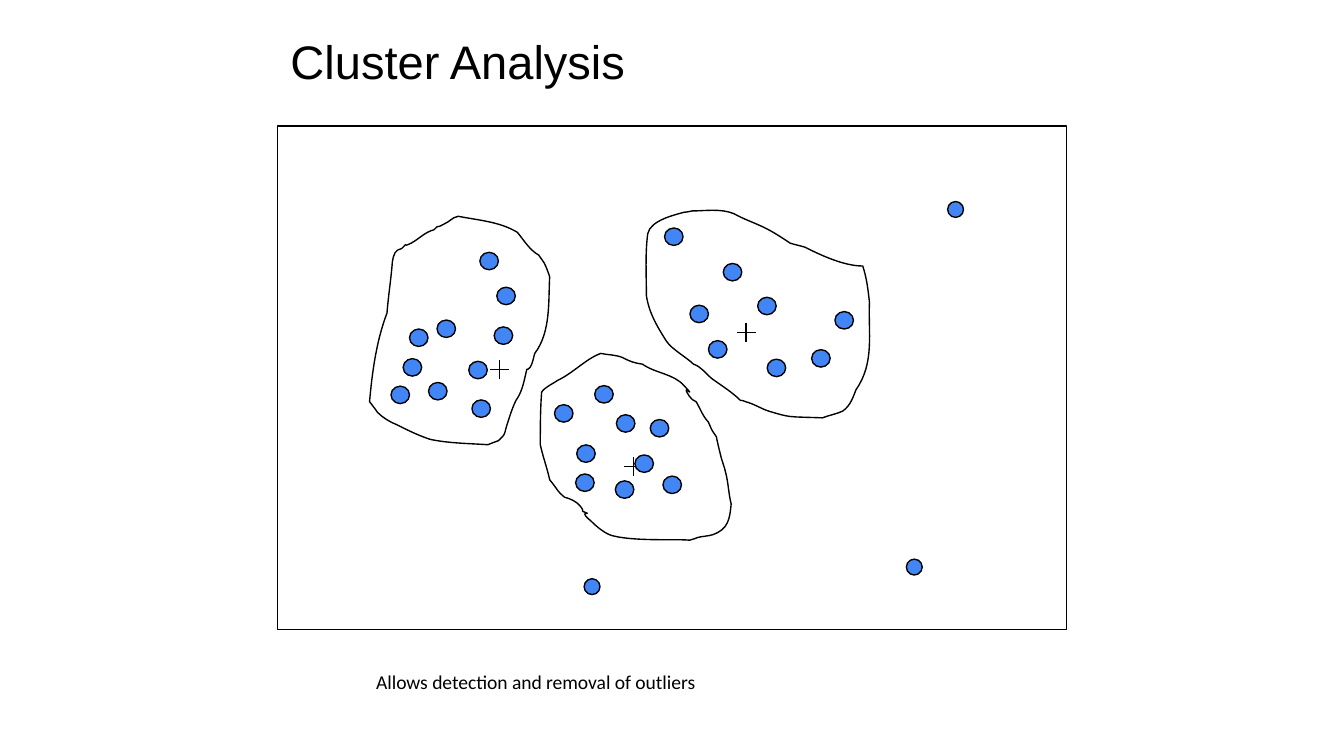
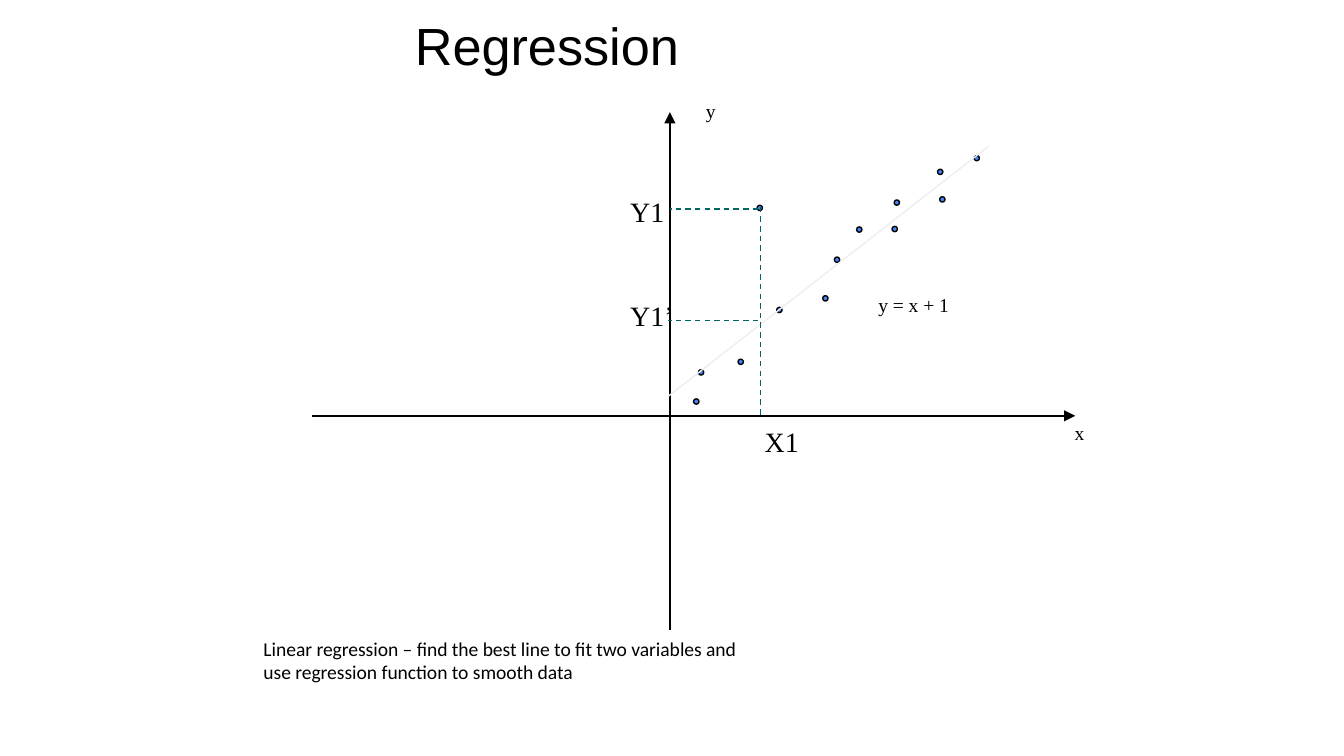
from lxml import etree
from pptx import Presentation
from pptx.dml.color import RGBColor
from pptx.enum.dml import MSO_LINE
from pptx.enum.shapes import MSO_CONNECTOR, MSO_SHAPE
from pptx.enum.text import MSO_ANCHOR, MSO_AUTO_SIZE as AutoSize, PP_ALIGN
from pptx.oxml.ns import qn
from pptx.util import Cm, Pt

BLACK = RGBColor(0x00, 0x00, 0x00)
BLUE = RGBColor(0x42, 0x85, 0xF4)
TEAL = RGBColor(0x00, 0x66, 0x66)
PALE_GREY = RGBColor(0xEE, 0xEE, 0xEE)
LINE_WIDTH = Pt(0.75)


def add_line(slide, start, end, color=BLACK, dashed=False, arrow=False):
    line = slide.shapes.add_connector(
        MSO_CONNECTOR.STRAIGHT, *[Cm(value) for value in (*start, *end)])
    line.line.color.rgb = color
    line.line.width = LINE_WIDTH
    if dashed:
        line.line.dash_style = MSO_LINE.DASH
    properties = line._element.spPr
    if arrow:
        etree.SubElement(properties.find(qn("a:ln")), qn("a:tailEnd"), type="triangle")
    etree.SubElement(properties, qn("a:effectLst"))


def add_dots(slide, kind, width, height, positions):
    for left, top in positions:
        dot = slide.shapes.add_shape(kind, Cm(left), Cm(top), Cm(width), Cm(height))
        dot.shadow.inherit = False
        dot.fill.solid()
        dot.fill.fore_color.rgb = BLUE
        dot.line.color.rgb = BLACK
        dot.line.width = LINE_WIDTH


presentation = Presentation()
presentation.slide_width = Cm(25.4)
presentation.slide_height = Cm(14.29)

# Slides and their titles
slides = []
for title_text, size, box in [
    ("Cluster Analysis", 25.2, (5.24, 0.36, 15.39, 1.52)),
    ("Regression", 28, (7.59, 0, 9.98, 2.31)),
]:
    slide = presentation.slides.add_slide(presentation.slide_layouts[5])
    title = slide.shapes.title
    title.left, title.top, title.width, title.height = [Cm(value) for value in box]
    frame = title.text_frame
    frame.text = title_text
    frame.auto_size = AutoSize.NONE
    frame.vertical_anchor = MSO_ANCHOR.TOP
    frame.margin_left = frame.margin_right = Cm(0.25)
    frame.margin_top = frame.margin_bottom = Cm(0.25)
    paragraph = frame.paragraphs[0]
    paragraph.alignment = PP_ALIGN.LEFT
    paragraph.font.name = "Arial"
    paragraph.font.size = Pt(size)
    paragraph.font.color.rgb = BLACK
    slides.append(slide)
cluster_slide, regression_slide = slides

# Cluster analysis: outliers
add_dots(cluster_slide, MSO_SHAPE.FLOWCHART_CONNECTOR, 0.3, 0.3,
         [(17.13, 10.57), (11.04, 10.94), (17.91, 3.81)])

# Cluster analysis: a cross at each cluster centre
ARM = 0.18
for x, y in [(11.97, 8.82), (14.1, 6.29), (9.44, 6.99)]:
    add_line(cluster_slide, (x - ARM, y), (x + ARM, y))
    add_line(cluster_slide, (x, y + ARM), (x, y - ARM))

# Cluster analysis: frame
frame_box = cluster_slide.shapes.add_shape(
    MSO_SHAPE.RECTANGLE, Cm(5.24), Cm(2.38), Cm(14.92), Cm(9.52))
frame_box.shadow.inherit = False
frame_box.fill.background()
frame_box.line.color.rgb = BLACK
frame_box.line.width = LINE_WIDTH

# Cluster analysis: members of the left, right and middle clusters
members = [
    (8.1, 7.23), (7.62, 6.78), (8.86, 6.83), (8.26, 6.05), (7.39, 7.3),
    (7.74, 6.22), (8.92, 7.56), (9.34, 6.18), (9.39, 5.43), (9.07, 4.77),

    (13.67, 4.98), (13.39, 6.44), (14.32, 5.62), (13.04, 5.77),
    (15.78, 5.89), (15.34, 6.61), (14.5, 6.79), (12.56, 4.31),

    (10.48, 7.65), (12.29, 7.93), (11.63, 9.09), (12, 8.6), (10.9, 8.41),
    (10.88, 8.96), (11.24, 7.29), (11.65, 7.84), (12.53, 9),
]
add_dots(cluster_slide, MSO_SHAPE.FLOWCHART_CONNECTOR, 0.35, 0.33, members)

# Cluster analysis: outlines as Bezier curves, in hundredths of an inch.
# Each has a start point, then two handles and an end point per curve.
right_outline = (642, 198), [
    (645, 207, 646, 216, 647, 225), (646, 248, 651, 270, 637, 290),
    (635, 295, 633, 302, 627, 306), (623, 308, 617, 309, 612, 311),
    (585, 310, 589, 311, 572, 306), (566, 304, 562, 301, 555, 299),
    (554, 298, 551, 298, 551, 298), (545, 292, 537, 287, 530, 282),
    (525, 278, 522, 273, 516, 271), (511, 266, 500, 260, 496, 254),
    (489, 243, 483, 233, 481, 220), (481, 205, 480, 189, 482, 174),
    (484, 164, 502, 160, 509, 158), (511, 158, 515, 157, 515, 157),
    (525, 157, 536, 155, 546, 159), (553, 163, 562, 166, 570, 170),
    (576, 173, 582, 177, 588, 181), (591, 182, 596, 183, 599, 184),
    (611, 190, 628, 198, 642, 198),
]
middle_outline = (437, 382), [
    (430, 379, 436, 382, 432, 377), (429, 373, 424, 371, 420, 370),
    (418, 368, 416, 367, 415, 365), (413, 362, 409, 357, 409, 357),
    (407, 348, 404, 340, 402, 331), (402, 318, 402, 305, 403, 292),
    (404, 289, 414, 284, 415, 283), (426, 278, 436, 267, 447, 263),
    (451, 264, 458, 264, 463, 266), (469, 269, 471, 270, 478, 271),
    (488, 278, 501, 278, 509, 287), (520, 299, 505, 283, 513, 295),
    (514, 297, 516, 298, 518, 299), (521, 304, 523, 310, 527, 314),
    (531, 323, 529, 319, 533, 325), (534, 330, 535, 334, 536, 338),
    (537, 343, 539, 347, 540, 352), (542, 360, 542, 367, 544, 375),
    (543, 386, 542, 394, 530, 398), (527, 399, 523, 399, 519, 400),
    (517, 401, 513, 402, 513, 402), (506, 401, 474, 403, 457, 399),
    (451, 398, 444, 392, 440, 388), (438, 386, 432, 382, 437, 382),
]
left_outline = (392, 275), [
    (390, 283, 389, 291, 384, 298), (381, 304, 379, 311, 377, 317),
    (376, 320, 376, 323, 374, 325), (373, 326, 372, 327, 371, 328),
    (368, 329, 363, 331, 363, 331), (348, 330, 334, 330, 320, 327),
    (311, 324, 303, 320, 295, 316), (290, 314, 285, 311, 281, 307),
    (279, 304, 275, 299, 275, 299), (277, 277, 280, 254, 288, 233),
    (289, 220, 291, 208, 292, 195), (293, 189, 294, 186, 299, 185),
    (305, 179, 298, 185, 306, 181), (313, 177, 316, 173, 323, 171),
    (328, 166, 323, 171, 330, 167), (335, 165, 336, 162, 341, 161),
    (356, 164, 372, 165, 385, 173), (390, 179, 394, 186, 401, 190),
    (402, 192, 405, 195, 406, 198), (407, 200, 409, 206, 409, 206),
    (408, 224, 410, 247, 398, 263), (397, 265, 396, 275, 392, 275),
]
for start, curves in (right_outline, middle_outline, left_outline):
    ends = [curve[4:] for curve in curves]
    builder = cluster_slide.shapes.build_freeform(*start, scale=Cm(2.54) / 100)
    builder.add_line_segments(ends, close=True)
    boundary = builder.convert_to_shape()
    boundary.shadow.inherit = False
    boundary.fill.background()
    boundary.line.color.rgb = BLACK
    boundary.line.width = LINE_WIDTH

    # Turn each straight segment into a curve
    left = min(x for x, y in ends)
    top = min(y for x, y in ends)
    segments = list(boundary._element.iter(qn("a:lnTo")))
    for segment, curve in zip(segments, curves):
        bezier = etree.Element(qn("a:cubicBezTo"))
        for x, y in zip(curve[::2], curve[1::2]):
            etree.SubElement(bezier, qn("a:pt"), x=str(x - left), y=str(y - top))
        segment.getparent().replace(segment, bezier)

# Regression: axes, data points, fitted line and dashed guides
add_line(regression_slide, (5.89, 7.86), (20.32, 7.86), arrow=True)
add_line(regression_slide, (12.66, 11.91), (12.66, 2.12), arrow=True)
add_dots(regression_slide, MSO_SHAPE.OVAL, 0.1, 0.1, [
    (15.55, 5.59), (14.68, 5.81), (14.31, 3.88), (13.95, 6.79), (15.77, 4.86),
    (16.19, 4.29), (13.2, 6.99), (16.86, 4.28), (16.9, 3.78), (17.76, 3.72),
    (13.11, 7.54), (17.72, 3.2), (18.41, 2.94),
])
add_line(regression_slide, (12.63, 7.49), (18.69, 2.76), PALE_GREY)
for start, end in [
    ((14.37, 3.91), (14.37, 7.89)),
    ((14.33, 3.95), (12.67, 3.95)),
    ((14.33, 6.06), (12.63, 6.06)),
]:
    add_line(regression_slide, start, end, TEAL, dashed=True)

# Labels and captions
SERIF, SANS = "Times New Roman", "Calibri"
for slide, text, font_name, size, box in [
    (cluster_slide, "Allows detection and removal of outliers", SANS, 10.5,
     (6.86, 12.54, 6.65, 0.71)),
    (regression_slide, "x", SERIF, 10.5, (20.06, 7.84, 0.71, 0.71)),
    (regression_slide, "y", SERIF, 10.5, (13.09, 1.75, 0.71, 0.71)),
    (regression_slide, "y = x + 1", SERIF, 10.5, (16.35, 5.42, 1.85, 0.71)),
    (regression_slide, "X1", SERIF, 15, (14.2, 7.9, 1.17, 0.89)),
    (regression_slide, "Y1", SERIF, 15, (11.66, 3.56, 1.17, 0.89)),
    (regression_slide, "Y1’", SERIF, 15, (11.66, 5.51, 1.35, 0.89)),
    (regression_slide,
     "Linear regression – find the best line to fit two variables and\n"
     "use regression function to smooth data", SANS, 10.5,
     (4.73, 11.91, 9.6, 1.14)),
]:
    frame = slide.shapes.add_textbox(*[Cm(value) for value in box]).text_frame
    frame.word_wrap = False
    frame.auto_size = AutoSize.SHAPE_TO_FIT_TEXT
    frame.text = text
    for paragraph in frame.paragraphs:
        paragraph.font.name = font_name
        paragraph.font.size = Pt(size)
        paragraph.font.color.rgb = BLACK

presentation.save("out.pptx")
